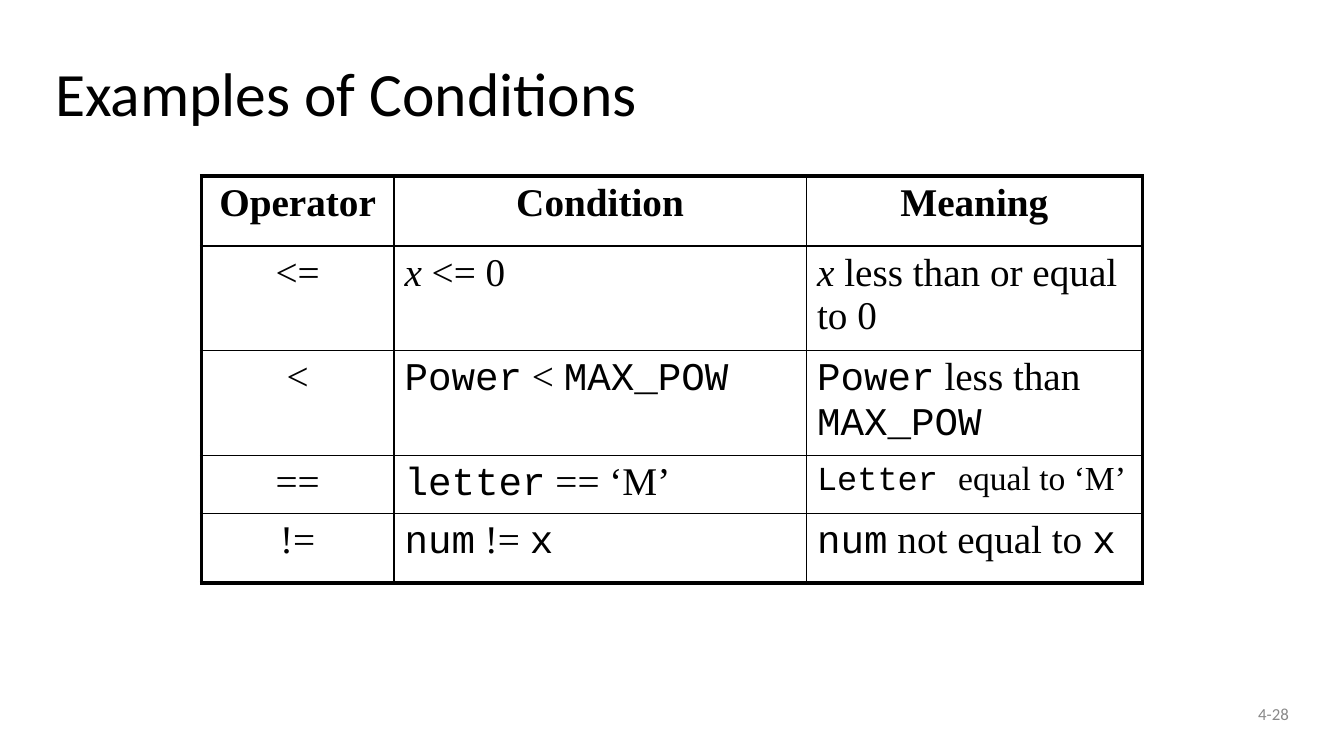
"""Build the slide with a table of example conditions."""
from lxml.etree import SubElement
from pptx import Presentation
from pptx.dml.color import RGBColor
from pptx.enum.text import MSO_ANCHOR as Anchor, PP_ALIGN as Align
from pptx.oxml.ns import qn
from pptx.util import Inches, Pt

BLACK = RGBColor(0, 0, 0)
GRAY = RGBColor(0x88, 0x88, 0x88)

SERIF = {"name": "Times New Roman", "size": Pt(21), "bold": False, "italic": False}
BOLD = SERIF | {"bold": True}
ITALIC = SERIF | {"italic": True}
CODE = SERIF | {"name": "Courier New"}
SMALL_SERIF = SERIF | {"size": Pt(18)}
SMALL_CODE = CODE | {"size": Pt(18)}

COLUMN_WIDTHS = [1.43, 3.07, 2.5]
ROW_HEIGHTS = [0.52, 0.52, 0.52, 0.12, 0.52]
ROWS = [
    [[("Operator", BOLD)], [("Condition", BOLD)], [("Meaning", BOLD)]],
    [[("<=", SERIF)],
     [("x", ITALIC), (" <= 0", SERIF)],
     [("x", ITALIC), (" less than or equal to 0", SERIF)]],
    [[("<", SERIF)],
     [("Power", CODE), (" < ", SERIF), ("MAX_POW", CODE)],
     [("Power", CODE), (" less than ", SERIF), ("MAX_POW", CODE)]],
    [[("==", SERIF)],
     [("letter", CODE), (" == ‘M’", SERIF)],
     [("Letter ", SMALL_CODE), ("equal to ‘M’", SMALL_SERIF)]],
    [[("!=", SERIF)],
     [("num", CODE), (" != ", SERIF), ("x", CODE)],
     [("num", CODE), (" not equal to ", SERIF), ("x", CODE)]],
]
LAST_ROW = len(ROWS) - 1
LAST_COLUMN = len(COLUMN_WIDTHS) - 1


def add_span(para, text, font_format, color=BLACK):
    span = para.add_run()
    span.text = text
    for name, value in font_format.items():
        setattr(span.font, name, value)
    span.font.color.rgb = color


def add_border(cell, side, width):
    line = SubElement(cell._tc.get_or_add_tcPr(), qn(f"a:ln{side}"), w=str(Pt(width)))
    fill = SubElement(line, qn("a:solidFill"))
    SubElement(fill, qn("a:srgbClr"), val=str(BLACK))


deck = Presentation()
deck.slide_width = Inches(10)
deck.slide_height = Inches(10) * 9 // 16
page = deck.slides.add_slide(deck.slide_layouts[6])

LABELS = [
    ("Examples of Conditions", (0.34, 0.25, 9.33, 0.94), 33, BLACK,
     {"alignment": Align.LEFT, "line_spacing": 0.9}),
    ("4-28", (7.58, 5.12, 2.08, 0.38), 9, GRAY, {"alignment": Align.RIGHT}),
]
for text, place, size, color, para_format in LABELS:
    box = page.shapes.add_textbox(*map(Inches, place))
    frame_format = {
        "word_wrap": True, "vertical_anchor": Anchor.MIDDLE,
        "margin_left": Inches(0.07), "margin_right": Inches(0.07),
        "margin_top": Inches(0.04), "margin_bottom": Inches(0.04),
    }
    for name, value in frame_format.items():
        setattr(box.text_frame, name, value)
    para = box.text_frame.paragraphs[0]
    for name, value in para_format.items():
        setattr(para, name, value)
    add_span(para, text, {"name": "Calibri", "size": Pt(size)}, color)

table_frame = page.shapes.add_table(
    len(ROWS), len(COLUMN_WIDTHS), Inches(1.5), Inches(1.31),
    Inches(sum(COLUMN_WIDTHS)), Inches(sum(ROW_HEIGHTS)))
table = table_frame.table
table.first_row = False
table.horz_banding = False
for column, width in zip(table.columns, COLUMN_WIDTHS):
    column.width = Inches(width)
for row, height in zip(table.rows, ROW_HEIGHTS):
    row.height = Inches(height)
table_frame.height = Inches(3.01)

CELL_FORMAT = {
    "margin_left": Inches(0.08), "margin_right": Inches(0.08),
    "margin_top": Inches(0.04), "margin_bottom": Inches(0.04),
    "vertical_anchor": Anchor.TOP,
}
for row_index, row in enumerate(ROWS):
    for column_index, spans in enumerate(row):
        cell = table.cell(row_index, column_index)
        for name, value in CELL_FORMAT.items():
            setattr(cell, name, value)
        outer_sides = {
            "L": column_index == 0, "R": column_index == LAST_COLUMN,
            "T": row_index == 0, "B": row_index == LAST_ROW,
        }
        for side, is_outer in outer_sides.items():
            add_border(cell, side, 2.25 if is_outer else 1)
        cell.fill.background()
        para = cell.text_frame.paragraphs[0]
        centered = row_index == 0 or column_index == 0
        para.alignment = Align.CENTER if centered else Align.LEFT
        for text, font_format in spans:
            add_span(para, text, font_format)

deck.save("out.pptx")
